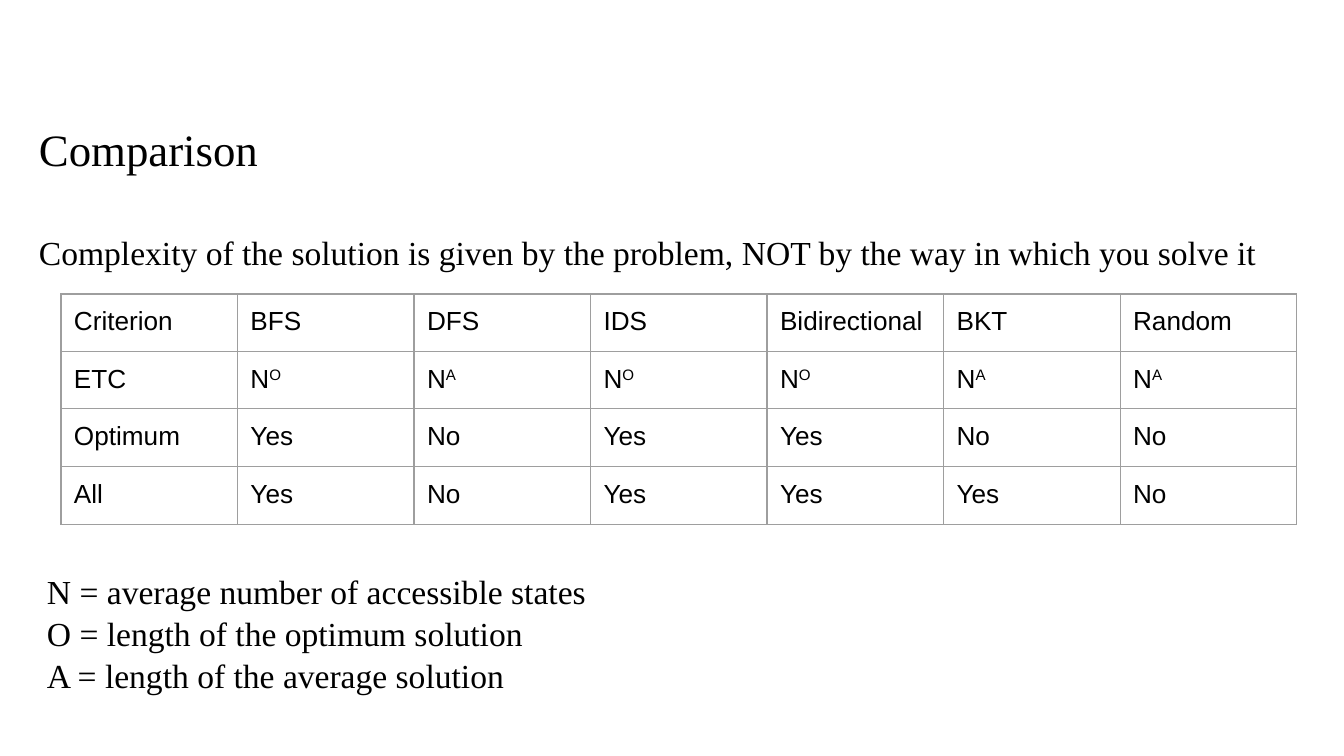
from lxml import etree
from pptx import Presentation
from pptx import util as u
from pptx.dml.color import RGBColor
from pptx.enum import text
from pptx.oxml import ns

INK = {"text": "000000", "grid": "9E9E9E"}
SCALE = 914400 / 134.4


def px(n):
    return u.Emu(round(n * SCALE))


class Deck:
    serif, sans = "Times New Roman", "Arial"
    pad = 13

    def __init__(self, wide, high):
        self.prs = Presentation()
        self.prs.slide_width, self.prs.slide_height = px(wide), px(high)
        self.slide = self.prs.slides.add_slide(self.prs.slide_layouts[6])

    def style(self, para, face, size):
        font = para.font
        font.name, font.size = face, u.Pt(size)
        font.color.rgb = RGBColor.from_string(INK["text"])

    def inset(self, item):
        item.margin_left = item.margin_right = px(self.pad)
        item.margin_top = item.margin_bottom = px(self.pad)

    def prose(self, x, y, w, h, lines):
        """Add a box of (words, size, points before, left indent) lines."""
        frame = self.slide.shapes.add_textbox(px(x), px(y), px(w), px(h)).text_frame
        frame.word_wrap = True
        frame.vertical_anchor = text.MSO_ANCHOR.TOP
        self.inset(frame)
        for i, (words, size, gap, dent) in enumerate(lines):
            para = frame.add_paragraph() if i else frame.paragraphs[0]
            para.text = words
            para.line_spacing = 1.05
            para.space_before = u.Pt(gap)
            if dent:
                para._p.get_or_add_pPr().set("marL", str(px(dent)))
            self.style(para, self.serif, size)

    def edge(self, cell):
        props = cell._tc.get_or_add_tcPr()
        for i, side in enumerate(("lnL", "lnR", "lnT", "lnB")):
            line = etree.Element(ns.qn("a:" + side), w=str(u.Pt(0.75)))
            fill = etree.SubElement(line, ns.qn("a:solidFill"))
            etree.SubElement(fill, ns.qn("a:srgbClr"), val=INK["grid"])
            props.insert(i, line)

    def cell(self, cell, words):
        """Fill one cell; a caret sets what follows it as superscript."""
        self.inset(cell)
        cell.fill.background()
        self.edge(cell)
        para = cell.text_frame.paragraphs[0]
        base, _, power = words.partition("^")
        para.add_run().text = base
        if power:
            run = para.add_run()
            run.text = power
            run.font._element.set("baseline", "30000")
        self.style(para, self.sans, 14)

    def table(self, x, y, w, highs, rows):
        grid = self.slide.shapes.add_table(
            len(rows), len(rows[0]), px(x), px(y), px(w), px(sum(highs))).table
        grid.first_row = grid.horz_banding = False
        for r, (high, row) in enumerate(zip(highs, rows)):
            grid.rows[r].height = px(high)
            for c, words in enumerate(row):
                self.cell(grid.cell(r, c), words)


def main():
    deck = Deck(1344, 756)
    deck.prose(26, 106, 1271, 634, [
        ("Comparison", 24, 0, 0),
        ("Complexity of the solution is given by the problem, "
         "NOT by the way in which you solve it", 18, 29, 0),
        ("N = average number of accessible states", 18, 159, 8),
        ("O = length of the optimum solution", 18, 0, 8),
        ("A = length of the average solution", 18, 0, 8),
    ])
    deck.table(61, 294, 1236, (56, 56, 58, 58), [
        ("Criterion", "BFS", "DFS", "IDS", "Bidirectional", "BKT", "Random"),
        ("ETC", "N^O", "N^A", "N^O", "N^O", "N^A", "N^A"),
        ("Optimum", "Yes", "No", "Yes", "Yes", "No", "No"),
        ("All", "Yes", "No", "Yes", "Yes", "Yes", "No"),
    ])
    deck.prs.save("out.pptx")


if __name__ == "__main__":
    main()
